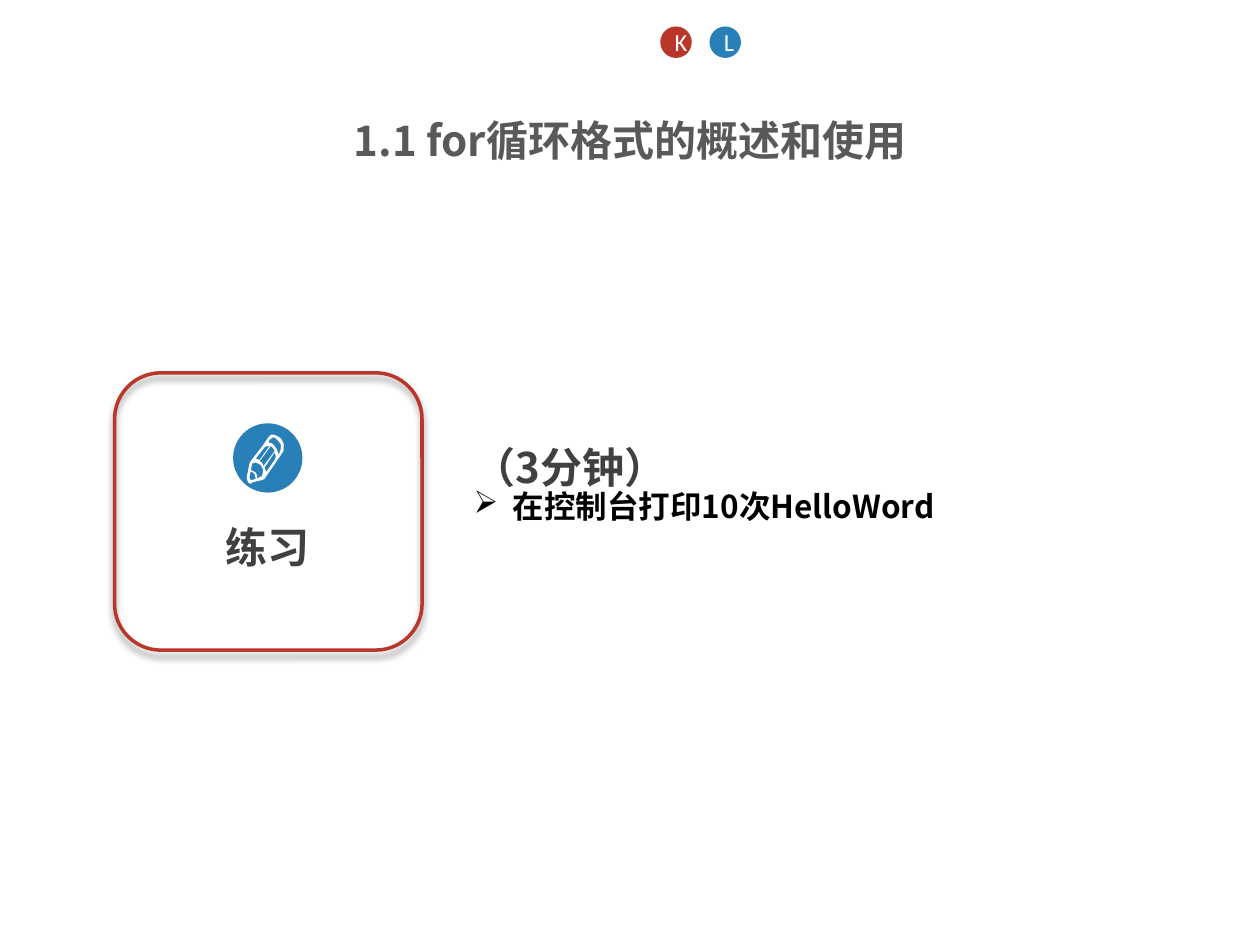
from lxml.etree import SubElement
from pptx import Presentation
from pptx.dml.color import RGBColor
from pptx.enum.shapes import MSO_SHAPE
from pptx.enum.text import MSO_ANCHOR, PP_ALIGN
from pptx.oxml.ns import qn
from pptx.util import Pt

COLORS = {
    "red": "B83729",
    "blue": "2980B9",
    "white": "FFFFFF",
    "black": "000000",
    "dark": "404040",
    "title": "595959",
}
CJK_FONT = "Noto Sans CJK SC"
PENCIL_UNIT = Pt(0.72)
PENCIL_CONTOURS = [
    [(223, 348), (220, 346), (217, 345), (215, 345), (213, 347), (209, 353),
     (199, 366), (198, 368), (196, 378), (196, 380), (197, 383), (199, 384),
     (200, 383), (208, 381), (210, 380), (223, 361), (225, 358), (225, 352)],
    [(222, 359), (221, 361), (220, 357), (218, 354), (216, 352), (213, 351),
     (214, 349), (217, 347), (219, 348), (221, 350), (223, 353), (223, 356)],
    [(204, 380), (204, 377), (203, 375), (201, 374), (199, 373), (200, 369),
     (200, 368), (203, 367), (207, 369), (209, 373), (208, 378), (207, 378)],
    [(200, 381), (199, 381), (198, 379), (199, 374), (202, 376), (203, 380)],
    [(206, 365), (203, 364), (210, 355), (212, 354), (214, 354)],
    [(209, 370), (208, 367), (206, 366), (215, 354), (217, 356), (218, 358)],
    [(211, 374), (210, 371), (218, 359), (219, 362), (218, 365), (211, 375)],
]


def color(name):
    """Return the named colour."""
    return RGBColor.from_string(COLORS[name])


def add_run(paragraph, text, size, color_name, font=CJK_FONT, bold=True):
    """Append one formatted run."""
    run = paragraph.add_run()
    run.text = text
    run.font.size = Pt(size)
    run.font.bold = bold
    run.font.name = font
    run.font.color.rgb = color(color_name)
    SubElement(run.font._element, qn("a:ea"), typeface=font)


def add_text_box(shapes, left, top, width, height, wrap=True):
    """Add an empty text box and return its text frame."""
    shape = shapes.add_textbox(Pt(left), Pt(top), Pt(width), Pt(height))
    shape.text_frame.word_wrap = wrap
    return shape.text_frame


def add_circle(shapes, left, top, size, fill):
    """Add a filled circle without outline."""
    shape = shapes.add_shape(MSO_SHAPE.OVAL, Pt(left), Pt(top), Pt(size), Pt(size))
    shape.shadow.inherit = False
    shape.fill.solid()
    shape.fill.fore_color.rgb = color(fill)
    shape.line.fill.background()
    return shape


def add_badge(shapes, left, letter, fill):
    """Add a small circle with a letter."""
    frame = add_circle(shapes, left, 15.1, 18, fill).text_frame
    frame.vertical_anchor = MSO_ANCHOR.MIDDLE
    paragraph = frame.paragraphs[0]
    paragraph.alignment = PP_ALIGN.CENTER
    add_run(paragraph, letter, 14, "white", "Calibri", False)


def add_pencil(shapes):
    """Add the pencil icon with its cut-outs."""
    outline, *holes = PENCIL_CONTOURS
    builder = shapes.build_freeform(*outline[0], scale=PENCIL_UNIT)
    builder.add_line_segments(outline[1:], close=True)
    for hole in holes:
        builder.move_to(*hole[0])
        builder.add_line_segments(hole[1:], close=True)
    shape = builder.convert_to_shape()
    shape.shadow.inherit = False
    shape.fill.solid()
    shape.fill.fore_color.rgb = color("white")
    shape.line.fill.background()


def add_frame(shapes):
    """Add the rounded outline with a soft shadow below."""
    shape = shapes.add_shape(
        MSO_SHAPE.ROUNDED_RECTANGLE, Pt(65.5), Pt(213.1), Pt(175.7), Pt(158.4))
    shape.fill.background()
    shape.line.color.rgb = color("red")
    shape.line.width = Pt(2)
    shape.shadow.inherit = False
    effects = shape._element.spPr.find(qn("a:effectLst"))
    shadow = SubElement(
        effects, qn("a:outerShdw"), blurRad=str(Pt(4)), dist=str(Pt(3)),
        dir="5400000", algn="t", rotWithShape="0")
    shade = SubElement(shadow, qn("a:srgbClr"), val=COLORS["black"])
    SubElement(shade, qn("a:alpha"), val="40000")


def add_exercise_card(slide):
    """Add the grouped exercise card."""
    shapes = slide.shapes.add_group_shape().shapes
    paragraph = add_text_box(shapes, 121.7, 301, 62.6, 32.4, False).paragraphs[0]
    paragraph.line_spacing = 0.75
    add_run(paragraph, "练习", 24, "dark")
    add_circle(shapes, 133.2, 241.9, 39.6, "blue")
    add_pencil(shapes)
    add_frame(shapes)


def add_task(slide):
    """Add the time limit and the bulleted task."""
    frame = add_text_box(slide.shapes, 263.5, 253.4, 396.7, 87.1)
    limit = frame.paragraphs[0]
    limit.line_spacing = 0.85
    add_run(limit, "（3分钟）", 24, "dark")
    task = frame.add_paragraph()
    task.line_spacing = 0.85
    properties = task._p.get_or_add_pPr()
    properties.set("marL", str(Pt(22.5)))
    properties.set("indent", str(Pt(-22.5)))
    SubElement(properties, qn("a:buChar"), char="➢")
    add_run(task, "在控制台打印10次HelloWord", 18, "black")


def add_title(slide):
    """Add the centred section title."""
    paragraph = add_text_box(slide.shapes, 0, 66.2, 720, 33.8).paragraphs[0]
    paragraph.alignment = PP_ALIGN.CENTER
    paragraph.line_spacing = 0.85
    add_run(paragraph, "1.1 for循环格式的概述和使用", 24, "title")


def main():
    """Build and save the slide."""
    presentation = Presentation()
    presentation.slide_width = Pt(720)
    presentation.slide_height = Pt(540)
    slide = presentation.slides.add_slide(presentation.slide_layouts[6])
    add_exercise_card(slide)
    add_task(slide)
    add_title(slide)
    add_badge(slide.shapes, 377.3, "K", "red")
    add_badge(slide.shapes, 405.4, "L", "blue")
    presentation.save("out.pptx")


if __name__ == "__main__":
    main()
